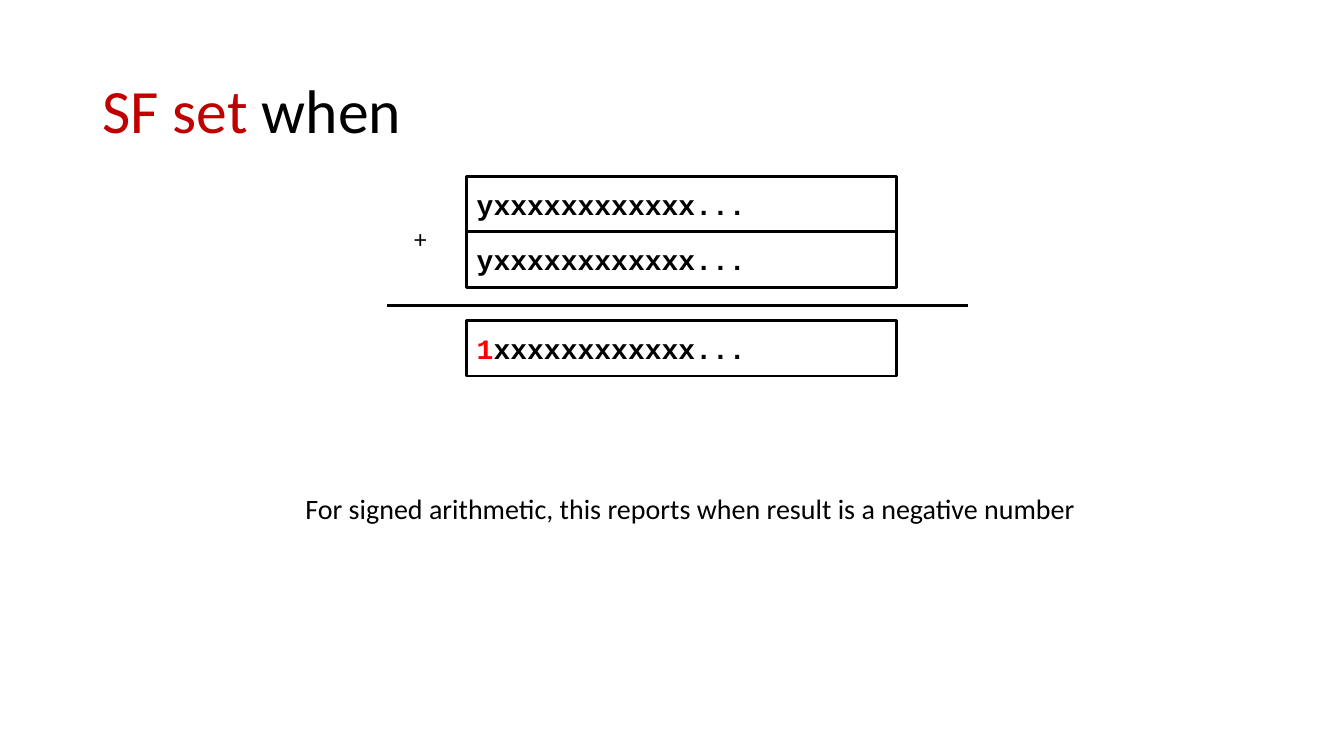
import pptx
import pptx.util
import pptx.dml.color
import pptx.enum.shapes
import pptx.enum.text
import pptx.oxml.ns
from lxml import etree

Pt = pptx.util.Pt
BLACK = pptx.dml.color.RGBColor(0x00, 0x00, 0x00)
DARK_RED = pptx.dml.color.RGBColor(0xC0, 0x00, 0x00)
RED = pptx.dml.color.RGBColor(0xFF, 0x00, 0x00)

LINE_WIDTH = Pt(2)
REGISTER_LEFT, REGISTER_WIDTH, REGISTER_HEIGHT = 333.4, 306.8, 39.6
OPERAND_TOP, RESULT_TOP = 126, 229


def write_spans(para, spans, size, font, bold=False):
    """Fill a paragraph with (text, colour) spans."""
    for text, colour in spans:
        span = para.add_run()
        span.text = text
        span.font.size = Pt(size)
        span.font.name = font
        span.font.bold = bold
        span.font.color.rgb = colour


def add_label(page, left, top, width, height, spans, size, wrap=True):
    """Add a plain text box in Calibri."""
    box = page.shapes.add_textbox(Pt(left), Pt(top), Pt(width), Pt(height))
    box.text_frame.word_wrap = wrap
    write_spans(box.text_frame.paragraphs[0], spans, size, "Calibri")
    return box


def add_register(page, top, spans):
    """Add an outlined box that shows the bits of one number."""
    box = page.shapes.add_shape(
        pptx.enum.shapes.MSO_SHAPE.RECTANGLE,
        Pt(REGISTER_LEFT), Pt(top), Pt(REGISTER_WIDTH), Pt(REGISTER_HEIGHT))
    box.shadow.inherit = False
    box.fill.background()
    box.line.color.rgb = BLACK
    box.line.width = LINE_WIDTH
    box.text_frame.vertical_anchor = pptx.enum.text.MSO_ANCHOR.MIDDLE
    para = box.text_frame.paragraphs[0]
    para.alignment = pptx.enum.text.PP_ALIGN.LEFT
    write_spans(para, spans, 20, "Courier New", bold=True)


def add_sum_line(page, left, right, y):
    """Add the horizontal rule between the operands and the result."""
    line = page.shapes.add_connector(
        pptx.enum.shapes.MSO_CONNECTOR.STRAIGHT, Pt(left), Pt(y), Pt(right), Pt(y))
    line.line.color.rgb = BLACK
    line.line.width = LINE_WIDTH
    etree.SubElement(line._element.spPr, pptx.oxml.ns.qn("a:effectLst"))


def main():
    deck = pptx.Presentation()
    deck.slide_width, deck.slide_height = Pt(960), Pt(540)
    page = deck.slides.add_slide(deck.slide_layouts[6])

    # Title
    title = add_label(page, 66, 28.8, 828, 104.4,
                      [("SF set ", DARK_RED), ("when", BLACK)], 44)
    title.text_frame.vertical_anchor = pptx.enum.text.MSO_ANCHOR.MIDDLE
    title.text_frame.paragraphs[0].line_spacing = 0.9

    # Two stacked operands
    for row in range(2):
        add_register(page, OPERAND_TOP + row * REGISTER_HEIGHT,
                     [("yxxxxxxxxxxxx...", BLACK)])

    # Plus sign, sum line and result
    add_sum_line(page, 276.5, 691.2, 218.2)
    add_label(page, 288.7, 156.2, 36, 28.8, [("+", BLACK)], 18)
    add_register(page, RESULT_TOP, [("1", RED), ("xxxxxxxxxxxx...", BLACK)])

    # Explanation
    add_label(page, 211, 347.8, 566, 31.5,
              [("For signed arithmetic, this reports when result is a negative number",
                BLACK)], 20, wrap=False)

    deck.save("out.pptx")


if __name__ == "__main__":
    main()
